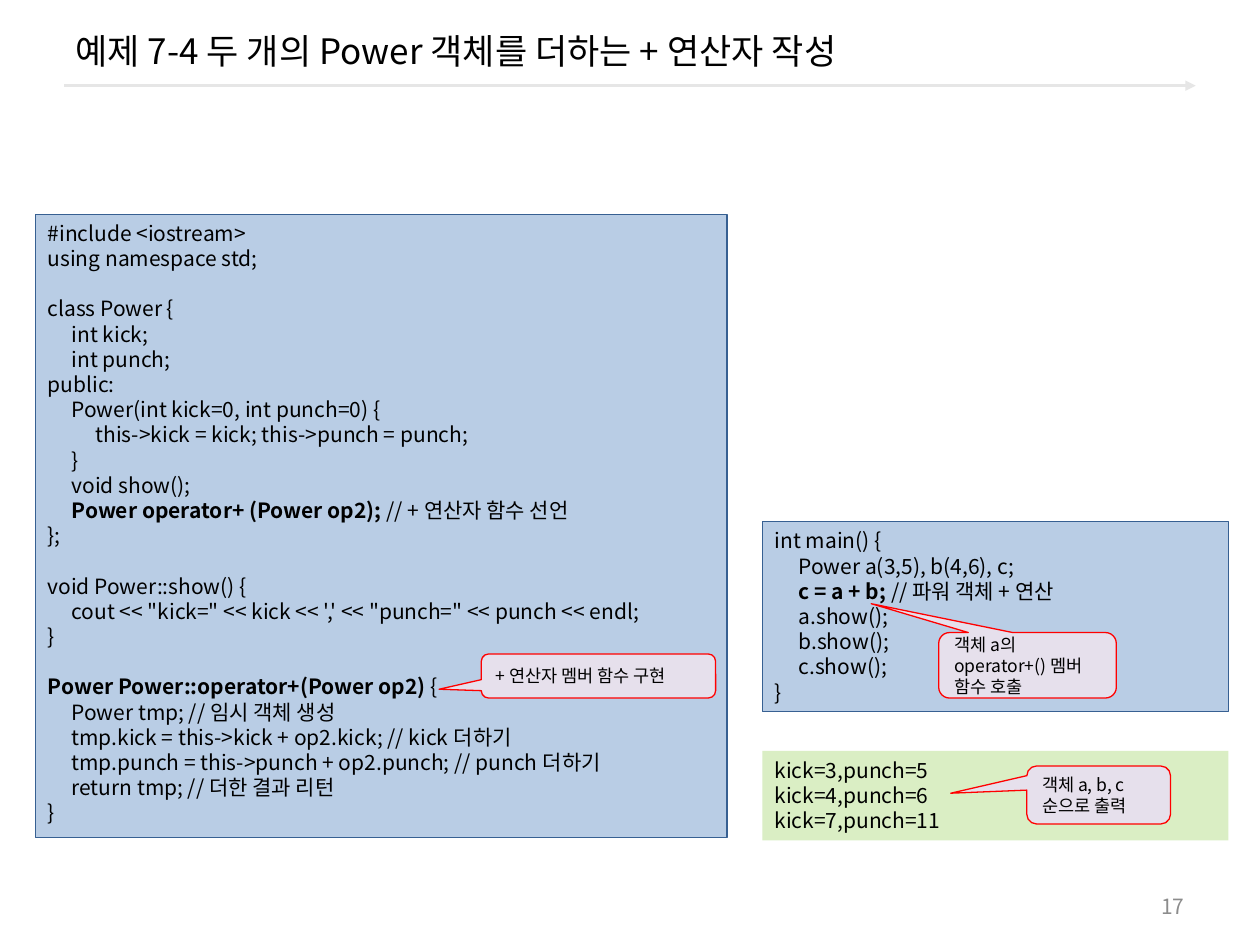
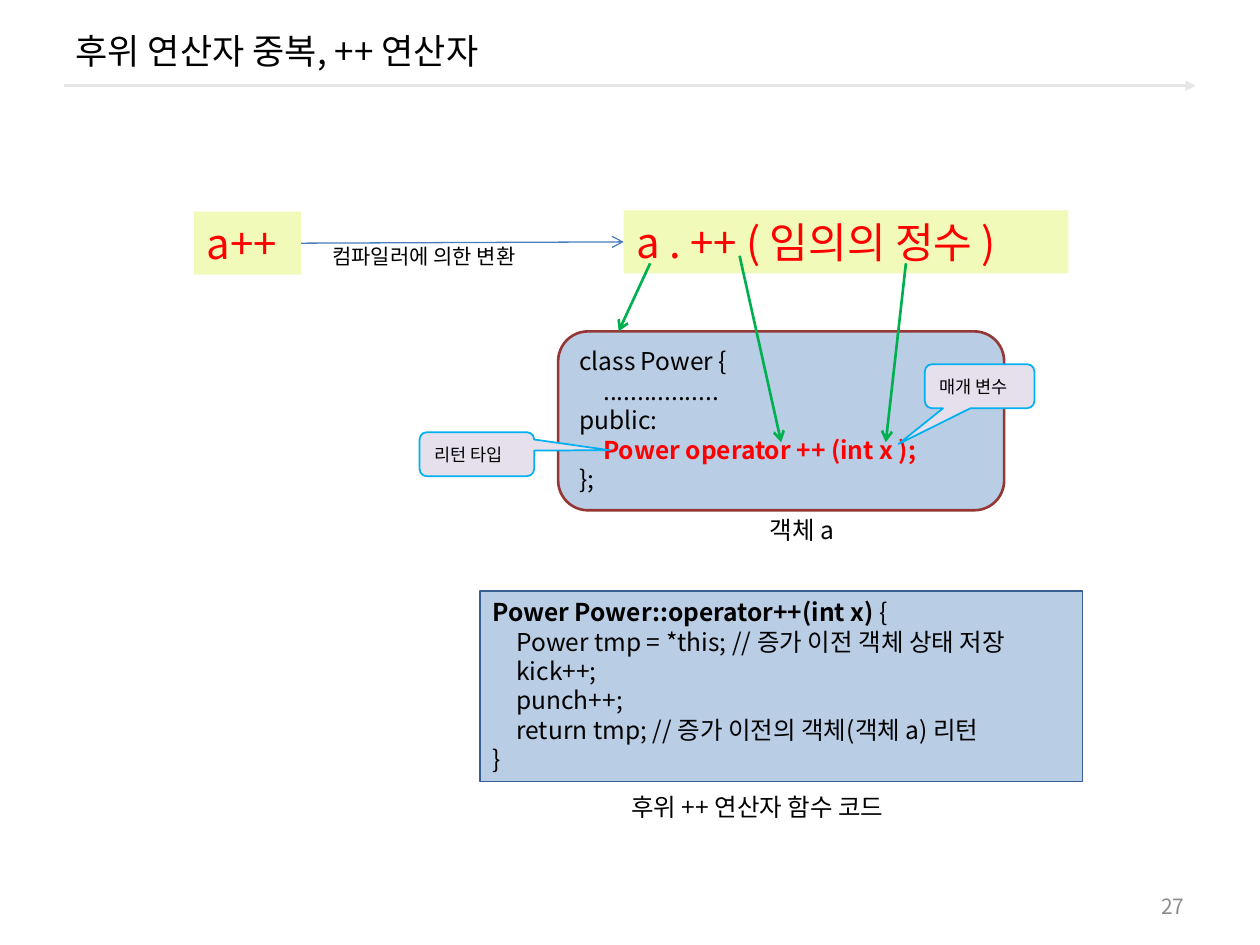
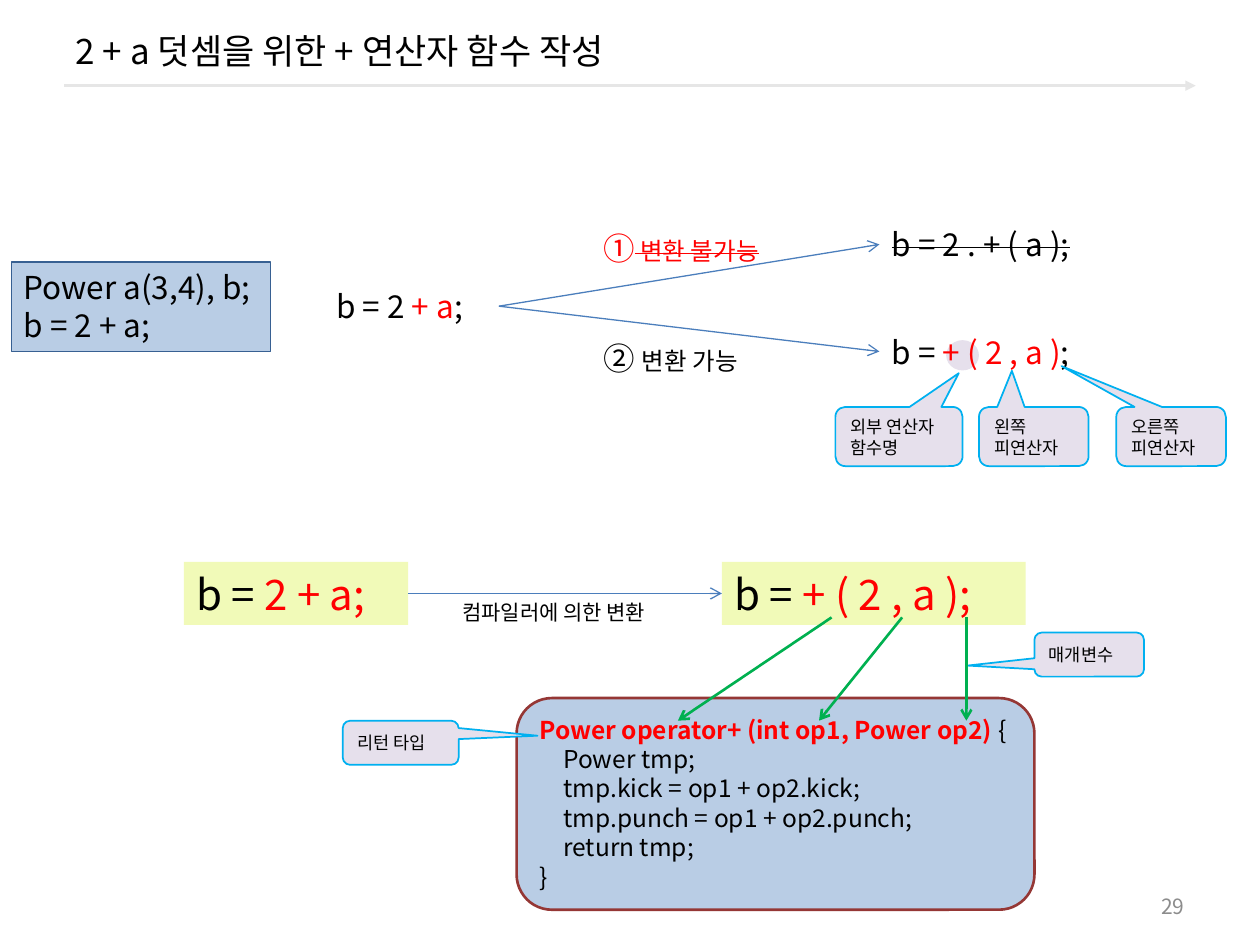
from dataclasses import dataclass
from typing import NamedTuple

from lxml import etree
from pptx import Presentation
from pptx import util as u
from pptx.dml.color import RGBColor
from pptx.enum import shapes, text
from pptx.oxml import ns

# Shared look
FONT = "Noto Sans CJK KR"
BLACK, RED, GREY, RULE = "000000", "FF0000", "8C8C8C", "E6E6E6"
CODE_FILL, CODE_LINE, CLASS_LINE = "B9CDE5", "376092", "953735"
OUTPUT_FILL, EXPRESSION_FILL, NOTE_FILL = "DAEEC4", "F1FAB8", "E6E0EC"
CYAN, BLUE, GREEN = "00B0F0", "4B7EBC", "00B050"
TAB = 0.19

Shape = shapes.MSO_SHAPE
TOP, MIDDLE = text.MSO_ANCHOR.TOP, text.MSO_ANCHOR.MIDDLE
LEFT, RIGHT = text.PP_ALIGN.LEFT, text.PP_ALIGN.RIGHT


class Area(NamedTuple):
    left: float
    top: float
    width: float
    height: float

    def lengths(self) -> list:
        return [u.Inches(value) for value in self]


class Span(NamedTuple):
    text: str
    color: str = BLACK
    bold: bool = False
    strike: bool = False
    size: float | None = None


@dataclass
class Note:
    area: Area
    pointer: tuple[float, float]
    text: str


@dataclass
class Arrow:
    start: tuple[float, float]
    end: tuple[float, float]


def rgb(value: str) -> RGBColor:
    return RGBColor.from_string(value)


# Text
def add_span(para, span: Span, size: float) -> None:
    run = para.add_run()
    run.text = span.text
    run.font.size = u.Pt(span.size or size)
    run.font.name = FONT
    run.font.bold = span.bold
    run.font.color.rgb = rgb(span.color)
    props = run.font._element
    if span.strike:
        props.set("strike", "sngStrike")
    east_asian = etree.Element(ns.qn("a:ea"), typeface=FONT)
    props.find(ns.qn("a:latin")).addnext(east_asian)


def add_tabs(para) -> None:
    tabs = etree.SubElement(para._p.get_or_add_pPr(), ns.qn("a:tabLst"))
    for level in (1, 2):
        etree.SubElement(tabs, ns.qn("a:tab"), pos=str(u.Inches(TAB * level)), algn="l")


def write(box, lines, size: float, color: str = BLACK, anchor=TOP, align=LEFT) -> None:
    """Lines are a string, or a list of strings and lists of spans."""
    frame = box.text_frame
    frame.word_wrap = True
    frame.auto_size = text.MSO_AUTO_SIZE.NONE
    frame.vertical_anchor = anchor
    for index, line in enumerate(lines.split("\n") if isinstance(lines, str) else lines):
        para = frame.add_paragraph() if index else frame.paragraphs[0]
        para.alignment = align
        spans = [Span(line, color)] if isinstance(line, str) else line
        if not spans[0].text:
            para._p.get_or_add_endParaRPr().set("sz", str(size * 100))
            continue
        if spans[0].text.startswith("\t"):
            add_tabs(para)
        for span in spans:
            add_span(para, span, size)


# Shapes
def add_box(page, area: Area, fill: str, line: str = "", weight: float = 0.75,
            kind=Shape.RECTANGLE):
    box = page.shapes.add_shape(kind, *area.lengths())
    box.shadow.inherit = False
    box.fill.solid()
    box.fill.fore_color.rgb = rgb(fill)
    if line:
        box.line.color.rgb = rgb(line)
        box.line.width = u.Pt(weight)
    else:
        box.line.fill.background()
    return box


def add_label(page, area: Area, lines, size: float, **style):
    label = page.shapes.add_textbox(*area.lengths())
    write(label, lines, size, **style)
    return label


def add_code(page, area: Area, lines, size: float) -> None:
    write(add_box(page, area, CODE_FILL, CODE_LINE), lines, size)


def add_class(page, area: Area, lines) -> None:
    box = add_box(page, area, CODE_FILL, CLASS_LINE, 1.5, Shape.ROUNDED_RECTANGLE)
    write(box, lines, 14)


def add_expression(page, area: Area, spans: list[Span]):
    box = add_box(page, area, EXPRESSION_FILL)
    write(box, [spans], 24)
    return box


def add_notes(page, notes: list[Note], line: str, weight: float) -> None:
    for note in notes:
        box = add_box(page, note.area, NOTE_FILL, line, weight,
                      Shape.ROUNDED_RECTANGULAR_CALLOUT)
        box.adjustments[0], box.adjustments[1] = note.pointer
        write(box, note.text, 10, anchor=MIDDLE)


def add_arrow(page, arrow: Arrow, color: str, weight: float, head: str = "arrow"):
    ends = [u.Inches(value) for value in (*arrow.start, *arrow.end)]
    line = page.shapes.add_connector(shapes.MSO_CONNECTOR.STRAIGHT, *ends)
    line.line.color.rgb = rgb(color)
    line.line.width = u.Pt(weight)
    etree.SubElement(line.line._get_or_add_ln(), ns.qn("a:tailEnd"), type=head)
    etree.SubElement(line._element.spPr, ns.qn("a:effectLst"))
    return line


def join(page, source, target) -> None:
    line = add_arrow(page, Arrow((0, 0), (1, 1)), BLUE, 0.75)
    line.begin_connect(source, 3)
    line.end_connect(target, 1)


def add_mappings(page, arrows: list[Arrow]) -> None:
    for arrow in arrows:
        add_arrow(page, arrow, GREEN, 1.5)


def add_page(deck, title: str, number: int):
    page = deck.slides.add_slide(deck.slide_layouts[5])
    add_arrow(page, Arrow((0.51, 0.68), (9.49, 0.68)), RULE, 1.5, "triangle")
    heading = page.shapes.title
    heading.left, heading.top, heading.width, heading.height = Area(0.5, 0.08, 9, 0.64).lengths()
    write(heading, title, 20, anchor=MIDDLE)
    add_label(page, Area(7.17, 7.03, 2.33, 0.32), str(number), 12,
              color=GREY, anchor=MIDDLE, align=RIGHT)
    return page


# Adding two Power objects
def build_plus(deck) -> None:
    page = add_page(deck, "예제 7-4 두 개의 Power 객체를 더하는 + 연산자 작성", 17)
    add_code(page, Area(0.28, 1.7, 5.49, 4.95), [
        "#include <iostream>",
        "using namespace std;",
        "",
        "class Power {",
        "\tint kick;",
        "\tint punch;",
        "public:",
        "\tPower(int kick=0, int punch=0) {",
        "\t\tthis->kick = kick; this->punch = punch;",
        "\t}",
        "\tvoid show();",
        [Span("\tPower operator+ (Power op2); ", bold=True), Span("// + 연산자 함수 선언")],
        "};",
        "",
        "void Power::show() {",
        "\tcout << \"kick=\" << kick << ',' << \"punch=\" << punch << endl;",
        "}",
        "",
        [Span("Power Power::operator+(Power op2) ", bold=True), Span("{")],
        "\tPower tmp; // 임시 객체 생성",
        "\ttmp.kick = this->kick + op2.kick; // kick 더하기",
        "\ttmp.punch = this->punch + op2.punch; // punch 더하기",
        "\treturn tmp; // 더한 결과 리턴",
        "}",
    ], 12)
    add_code(page, Area(6.05, 4.14, 3.7, 1.51), [
        "int main() {",
        "\tPower a(3,5), b(4,6), c;",
        [Span("\tc = a + b; ", bold=True), Span("// 파워 객체 + 연산")],
        "\ta.show();",
        "\tb.show();",
        "\tc.show();",
        "}",
    ], 12)
    output = add_box(page, Area(6.05, 5.96, 3.7, 0.71), OUTPUT_FILL)
    write(output, "kick=3,punch=5\nkick=4,punch=6\nkick=7,punch=11", 12)
    add_notes(page, [
        Note(Area(3.82, 5.19, 1.86, 0.35), (-0.68, 0.3), "+ 연산자 멤버 함수 구현"),
        Note(Area(8.15, 6.08, 1.14, 0.46), (-1.03, -0.03), "객체 a, b, c 순으로 출력"),
        Note(Area(7.45, 5.02, 1.41, 0.52), (-0.88, -0.94),
             "객체 a의\noperator+() 멤버\n함수 호출"),
    ], RED, 0.75)


# Postfix ++ operator
def build_postfix(deck) -> None:
    page = add_page(deck, "후위 연산자 중복, ++ 연산자", 27)
    add_code(page, Area(3.81, 4.69, 4.78, 1.51), [
        [Span("Power Power::operator++(int x) ", bold=True), Span("{")],
        "\tPower tmp = *this; // 증가 이전 객체 상태 저장",
        "\tkick++;",
        "\tpunch++;",
        "\treturn tmp; // 증가 이전의 객체(객체 a) 리턴",
        "}",
    ], 14)
    add_class(page, Area(4.43, 2.63, 3.54, 1.42), [
        "class Power {",
        "\t.................",
        "public:",
        [Span("\tPower operator ++ (int x );", RED, bold=True)],
        "};",
    ])
    source = add_expression(page, Area(1.54, 1.68, 0.85, 0.5), [Span("a++", RED)])
    call = add_expression(page, Area(4.95, 1.67, 3.53, 0.5),
                          [Span("a . ++ ( 임의의 정수 )", RED)])
    join(page, source, call)
    add_label(page, Area(2.54, 1.88, 2.06, 0.3), "컴파일러에 의한 변환", 12)
    add_label(page, Area(6.01, 4.04, 0.76, 0.34), "객체 a", 14)
    add_label(page, Area(4.91, 6.24, 2.52, 0.34), "후위 ++ 연산자 함수 코드", 14)
    add_notes(page, [
        Note(Area(3.33, 3.43, 0.91, 0.35), (1.16, -0.09), "리턴 타입"),
        Note(Area(7.34, 2.89, 0.87, 0.35), (-0.74, 1.31), "매개 변수"),
    ], CYAN, 1)
    add_mappings(page, [
        Arrow((5.87, 2.03), (6.2, 3.51)),
        Arrow((5.16, 2.09), (4.91, 2.63)),
        Arrow((7.19, 2.09), (7.03, 3.51)),
    ])


# Adding an integer and an object
def build_external_plus(deck) -> None:
    page = add_page(deck, "2 + a 덧셈을 위한 + 연산자 함수 작성", 29)
    add_box(page, Area(7.51, 2.7, 0.26, 0.24), NOTE_FILL, kind=Shape.OVAL)

    # Two possible conversions
    member = add_label(page, Area(6.98, 1.74, 1.81, 0.4),
                       [[Span("b = 2 . + ( a );", strike=True)]], 18)
    statement = add_label(page, Area(2.57, 2.23, 1.39, 0.4),
                          [[Span("b = 2"), Span(" + a", RED), Span(";")]], 18)
    external = add_label(page, Area(6.98, 2.59, 1.94, 0.4),
                         [[Span("b = "), Span("+ ( 2 , a )", RED), Span(";")]], 18)
    for target in (member, external):
        join(page, statement, target)
    add_label(page, Area(4.69, 1.77, 1.54, 0.4),
              [[Span("①", RED), Span(" 변환 불가능", RED, strike=True, size=14)]], 18)
    add_label(page, Area(4.69, 2.64, 1.37, 0.4),
              [[Span("② "), Span("변환 가능", size=14)]], 18)
    add_code(page, Area(0.09, 2.08, 2.06, 0.71), "Power a(3,4), b;\nb = 2 + a;", 18)

    # Conversion to the operator function
    add_class(page, Area(4.1, 5.54, 4.11, 1.68), [
        [Span("Power operator+ (int op1, Power op2)", RED, bold=True), Span(" {")],
        "\tPower tmp;",
        "\ttmp.kick = op1 + op2.kick;",
        "\ttmp.punch = op1 + op2.punch;",
        "\treturn tmp;",
        "}",
    ])
    source = add_expression(page, Area(1.46, 4.46, 1.78, 0.5),
                            [Span("b = "), Span("2 + a;", RED)])
    call = add_expression(page, Area(5.73, 4.46, 2.41, 0.5),
                          [Span("b = "), Span("+ ( 2 , a );", RED)])
    join(page, source, call)
    add_label(page, Area(3.57, 4.71, 2.06, 0.3), "컴파일러에 의한 변환", 12)
    add_notes(page, [
        Note(Area(6.63, 3.23, 1.01, 0.47), (0.47, -1.07), "외부 연산자 함수명"),
        Note(Area(7.77, 3.23, 0.87, 0.47), (-0.2, -1.11), "왼쪽\n피연산자"),
        Note(Area(8.86, 3.23, 0.87, 0.47), (-1, -1.19), "오른쪽\n피연산자"),
        Note(Area(2.72, 5.72, 0.92, 0.35), (1.18, -0.16), "리턴 타입"),
        Note(Area(8.21, 5.02, 0.87, 0.35), (-1.11, 0.25), "매개변수"),
    ], CYAN, 1)
    add_mappings(page, [
        Arrow((6.6, 4.9), (5.38, 5.72)),
        Arrow((7.16, 4.9), (6.5, 5.72)),
        Arrow((7.67, 4.9), (7.67, 5.72)),
    ])


def main() -> None:
    deck = Presentation()
    deck.slide_width, deck.slide_height = u.Inches(10), u.Inches(7.5)
    build_plus(deck)
    build_postfix(deck)
    build_external_plus(deck)
    deck.save("out.pptx")


if __name__ == "__main__":
    main()
